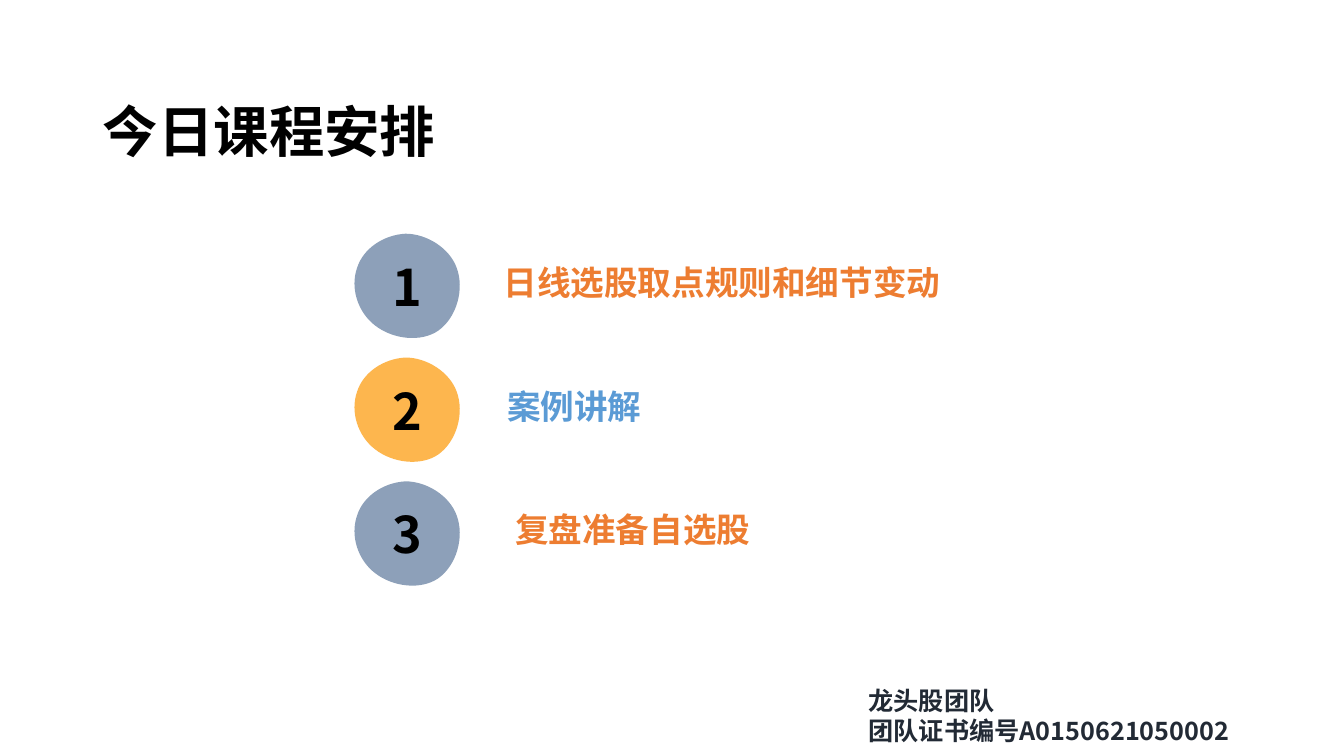
import lxml.etree
import pptx
import pptx.dml.color
import pptx.enum.text
import pptx.oxml
import pptx.oxml.ns
import pptx.util
from pptx.oxml.ns import qn
from pptx.util import Cm

FONT = "Noto Sans CJK SC"
BLACK, NAVY, ORANGE, BLUE = "000000", "222A35", "ED7D31", "5B9BD5"
SLATE, AMBER = "8DA0B9", "FDB64E"

# Agenda rows: text, text colour, text left (cm), badge colour
AGENDA = [
    ("日线选股取点规则和细节变动", ORANGE, 12.44, SLATE),
    ("案例讲解", BLUE, 12.53, AMBER),
    ("复盘准备自选股", ORANGE, 12.73, SLATE),
]
TOPIC_TOP, TOPIC_PITCH = 6.48, 3.11
BADGE_LEFT, BADGE_TOP, BADGE_PITCH = 8.92, 5.89, 3.12
BADGE_WIDTH, BADGE_HEIGHT = 2.69, 2.64

# Badge outline in cm: two handles and an end per curve, closed
BADGE_CURVES = [
    ((2.79, 1.4), (2.59, 2.11), (2.13, 2.44)),
    ((1.7, 2.74), (0.99, 2.67), (0.53, 2.31)),
    ((0.1, 1.98), (-0.1, 1.37), (0.08, 0.86)),
    ((0.23, 0.38), (0.74, 0.03), (1.3, 0)),
    ((1.83, 0), (2.41, 0.36), (2.59, 0.86)),
]


def color(hex_string):
    return pptx.dml.color.RGBColor.from_string(hex_string)


def style_paragraph(para, size, hex_string):
    """Set a bold font for both Latin and East Asian characters."""
    font = para.font
    font.size = pptx.util.Pt(size)
    font.bold = True
    font.color.rgb = color(hex_string)
    font.name = FONT
    properties = para._p.pPr.find(qn("a:defRPr"))
    east_asian = pptx.oxml.parse_xml(
        f'<a:ea {pptx.oxml.ns.nsdecls("a")} typeface="{FONT}"/>')
    properties.find(qn("a:latin")).addnext(east_asian)


def add_text(page, lines, left, top, width, height, size, hex_string):
    box = page.shapes.add_textbox(Cm(left), Cm(top), Cm(width), Cm(height))
    frame = box.text_frame
    frame.word_wrap = True
    frame.text = "\n".join(lines)
    for para in frame.paragraphs:
        style_paragraph(para, size, hex_string)
    return frame


def round_outline(badge):
    """Replace the straight segments of the badge with Bézier curves."""
    outline = next(badge._element.spPr.iter(qn("a:path")))
    outline.set("w", str(Cm(BADGE_WIDTH)))
    outline.set("h", str(Cm(BADGE_HEIGHT)))
    for segment in list(outline):
        outline.remove(segment)

    def add_segment(tag, points):
        segment = lxml.etree.SubElement(outline, qn(tag))
        for x, y in points:
            lxml.etree.SubElement(segment, qn("a:pt"), x=str(Cm(x)), y=str(Cm(y)))

    add_segment("a:moveTo", [BADGE_CURVES[-1][-1]])
    for curve in BADGE_CURVES:
        add_segment("a:cubicBezTo", curve)
    add_segment("a:close", [])


def add_badge(page, number, left, top, fill):
    corners = [(Cm(left + x), Cm(top + y)) for *_, (x, y) in BADGE_CURVES]
    builder = page.shapes.build_freeform(*corners[-1])
    builder.add_line_segments(corners[:-1], close=True)
    badge = builder.convert_to_shape()
    badge.left, badge.top = Cm(left), Cm(top)
    badge.width, badge.height = Cm(BADGE_WIDTH), Cm(BADGE_HEIGHT)
    round_outline(badge)
    badge.shadow.inherit = False
    badge.fill.solid()
    badge.fill.fore_color.rgb = color(fill)
    badge.line.fill.background()
    frame = badge.text_frame
    frame.word_wrap = False
    frame.vertical_anchor = pptx.enum.text.MSO_ANCHOR.MIDDLE
    frame.text = str(number)
    para = frame.paragraphs[0]
    para.alignment = pptx.enum.text.PP_ALIGN.CENTER
    style_paragraph(para, 36, BLACK)


def main():
    deck = pptx.Presentation()
    deck.slide_width, deck.slide_height = Cm(33.87), Cm(19.05)
    page = deck.slides.add_slide(deck.slide_layouts[6])

    title = add_text(page, ["今日课程安排"], 2.34, 2.44, 11.58, 1.9, 39.6, BLACK)
    title.vertical_anchor = pptx.enum.text.MSO_ANCHOR.MIDDLE
    title.paragraphs[0].line_spacing = 0.9

    for row, (topic, text_color, left, fill) in enumerate(AGENDA):
        add_text(page, [topic], left, TOPIC_TOP + row * TOPIC_PITCH,
                 13.03, 1.27, 24, text_color)
        add_badge(page, row + 1, BADGE_LEFT, BADGE_TOP + row * BADGE_PITCH, fill)

    add_text(page, ["龙头股团队", "团队证书编号A0150621050002"],
             21.64, 17.15, 10.06, 1.8, 18, NAVY)
    deck.save("out.pptx")


if __name__ == "__main__":
    main()
